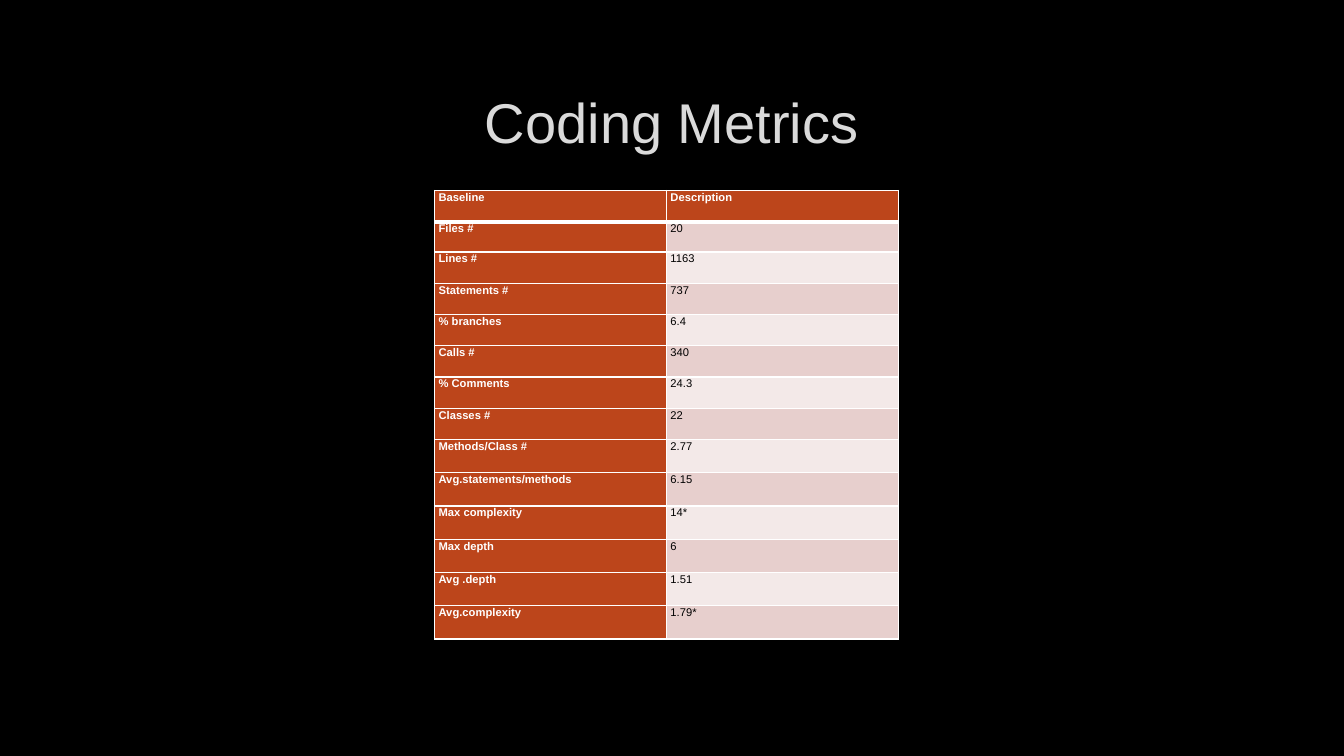
from dataclasses import dataclass

from lxml.etree import SubElement
from pptx import Presentation
from pptx.dml.color import RGBColor
from pptx.enum.text import MSO_ANCHOR, PP_ALIGN
from pptx.oxml import parse_xml
from pptx.oxml.ns import nsdecls, qn
from pptx.util import Inches, Pt


@dataclass(frozen=True)
class Theme:
    font: str = "Arial"
    background: str = "000000"
    title: str = "DADADA"
    title_outline: str = "404040"
    accent: str = "BC451B"
    accent_text: str = "FFFFFF"
    value_text: str = "000000"
    bands: tuple = ("E7CFCD", "F3E9E8")
    border: str = "FFFFFF"
    title_size: float = 40
    table_size: float = 8
    outline_width: float = 0.75
    border_width: float = 1
    header_rule_width: float = 3


METRICS = [
    ("Baseline", "Description"),
    ("Files #", "20"),
    ("Lines #", "1163"),
    ("Statements #", "737"),
    ("% branches", "6.4"),
    ("Calls #", "340"),
    ("% Comments", "24.3"),
    ("Classes #", "22"),
    ("Methods/Class #", "2.77"),
    ("Avg.statements/methods", "6.15"),
    ("Max complexity", "14*"),
    ("Max depth", "6"),
    ("Avg .depth", "1.51"),
    ("Avg.complexity", "1.79*"),
]
ROW_HEIGHTS = [0.31, 0.3] + [0.31] * 6 + [0.33] * 6


class SlideBuilder:
    """Hold the theme and the current slide, and add its elements."""

    def __init__(self, presentation, theme):
        self.theme = theme
        self.slide = presentation.slides.add_slide(presentation.slide_layouts[5])
        fill = self.slide.background.fill
        fill.solid()
        fill.fore_color.rgb = RGBColor.from_string(theme.background)

    def add_run(self, paragraph, text, size, color, bold=False):
        run = paragraph.add_run()
        run.text = text
        run.font.name = self.theme.font
        run.font.size = Pt(size)
        run.font.bold = bold
        run.font.color.rgb = RGBColor.from_string(color)
        return run

    def add_title(self, text, left, top, width, height):
        title = self.slide.shapes.title
        title.left, title.top = Inches(left), Inches(top)
        title.width, title.height = Inches(width), Inches(height)
        title.text_frame.word_wrap = True
        title.text_frame.vertical_anchor = MSO_ANCHOR.MIDDLE
        paragraph = title.text_frame.paragraphs[0]
        paragraph.alignment = PP_ALIGN.CENTER
        run = self.add_run(paragraph, text, self.theme.title_size, self.theme.title)
        outline = parse_xml(
            f'<a:ln {nsdecls("a")} w="{Pt(self.theme.outline_width)}"><a:solidFill>'
            f'<a:srgbClr val="{self.theme.title_outline}"><a:alpha val="10000"/>'
            "</a:srgbClr></a:solidFill></a:ln>"
        )
        run.font._element.insert(0, outline)

    def add_borders(self, cell, widths):
        properties = cell._tc.get_or_add_tcPr()
        for side, width in widths.items():
            line = SubElement(properties, qn(f"a:ln{side}"), w=str(Pt(width)))
            fill = SubElement(line, qn("a:solidFill"))
            SubElement(fill, qn("a:srgbClr"), val=self.theme.border)

    def format_cell(self, cell, text, row, column):
        theme = self.theme
        accented = row == 0 or column == 0
        widths = dict.fromkeys("LRTB", theme.border_width)
        if row < 2:
            widths["B" if row == 0 else "T"] = theme.header_rule_width
        self.add_borders(cell, widths)
        cell.fill.solid()
        fill = theme.accent if accented else theme.bands[(row - 1) % 2]
        cell.fill.fore_color.rgb = RGBColor.from_string(fill)
        cell.margin_left = cell.margin_right = Inches(0.04)
        cell.margin_top = cell.margin_bottom = 0
        paragraph = cell.text_frame.paragraphs[0]
        paragraph.line_spacing = 1.06
        paragraph.space_after = Pt(8)
        color = theme.accent_text if accented else theme.value_text
        self.add_run(paragraph, text, theme.table_size, color, accented)

    def add_table(self, rows, heights, left, top, column_width):
        columns = len(rows[0])
        table = self.slide.shapes.add_table(
            len(rows), columns, Inches(left), Inches(top),
            Inches(column_width * columns), Inches(sum(heights)),
        ).table
        for column in table.columns:
            column.width = Inches(column_width)
        for row, (values, height) in enumerate(zip(rows, heights)):
            table.rows[row].height = Inches(height)
            for column, text in enumerate(values):
                self.format_cell(table.cell(row, column), text, row, column)


def main():
    presentation = Presentation()
    presentation.slide_width = Inches(13.33)
    presentation.slide_height = Inches(7.5)
    builder = SlideBuilder(presentation, Theme())
    builder.add_title("Coding Metrics", 1, 0.67, 11.32, 1.06)
    builder.add_table(METRICS, ROW_HEIGHTS, 4.31, 1.89, 2.3)
    presentation.save("out.pptx")


if __name__ == "__main__":
    main()
